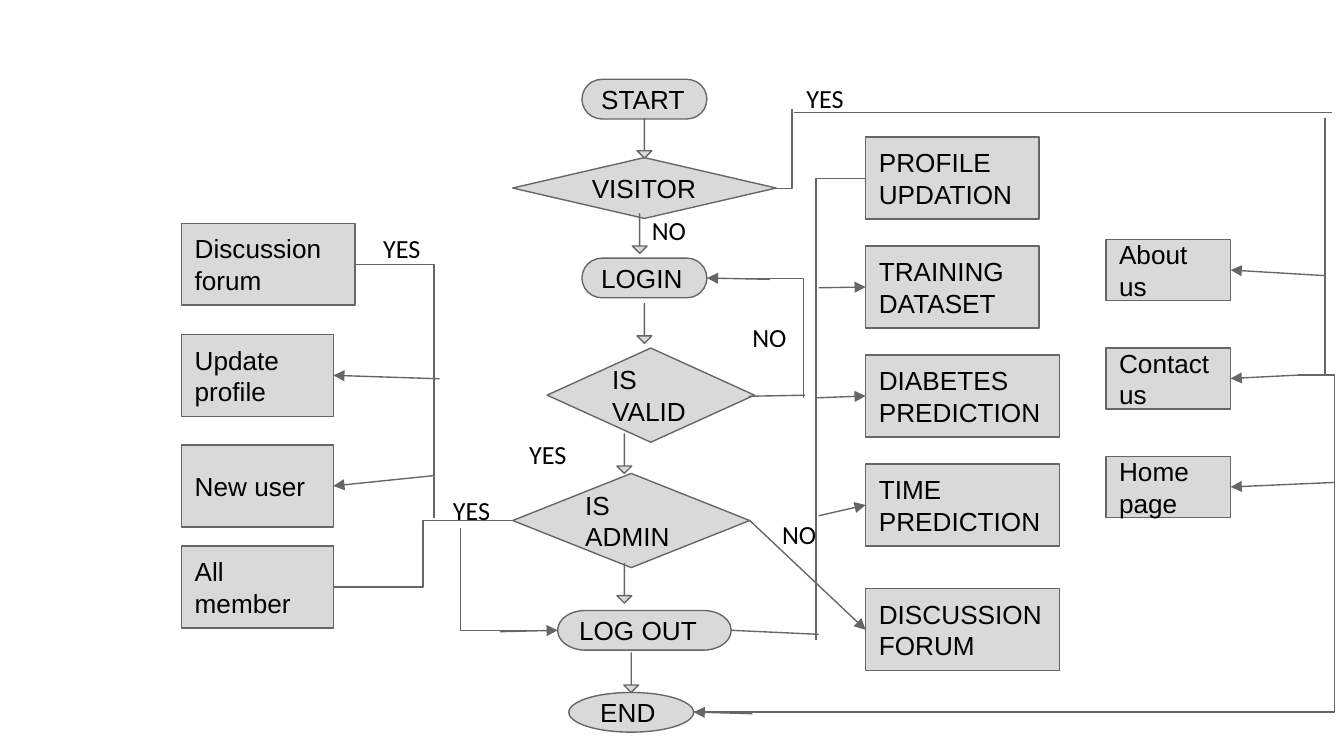
import lxml.etree
import pptx
import pptx.dml.color
import pptx.enum.shapes
import pptx.enum.text
import pptx.oxml.ns
import pptx.util

Cm = pptx.util.Cm
Pt = pptx.util.Pt
qn = pptx.oxml.ns.qn
SHAPE = pptx.enum.shapes.MSO_SHAPE
CONNECTOR = pptx.enum.shapes.MSO_CONNECTOR
ANCHOR = pptx.enum.text.MSO_ANCHOR

COLORS = {"fill": "D9D9D9", "line": "666666", "text": "000000"}
LEFT, RIGHT = 1, 3
INSET = 0.25

# Flow shapes: text, preset, left, top, width, height
FLOW = [
    ("START", SHAPE.FLOWCHART_TERMINATOR, 11, 1.5, 2.36, 0.75),
    ("VISITOR", SHAPE.DIAMOND, 9.69, 2.98, 4.98, 1.15),
    ("LOGIN", SHAPE.FLOWCHART_TERMINATOR, 11, 4.88, 2.36, 0.75),
    ("IS VALID", SHAPE.DIAMOND, 10.34, 6.58, 3.92, 1.78),
    ("IS ADMIN", SHAPE.DIAMOND, 9.69, 8.95, 4.48, 1.78),
    ("LOG OUT", SHAPE.FLOWCHART_TERMINATOR, 10.54, 11.54, 3.28, 0.75),
    ("END", SHAPE.OVAL, 10.75, 13.09, 2.36, 0.75),
]

# Columns of boxes: left, height, then text, top and width of each box
COLUMNS = [
    (16.36, 1.55, [
        ("PROFILE UPDATION", 2.59, 3.28),
        ("TRAINING DATASET", 4.65, 3.28),
        ("DIABETES PREDICTION", 6.71, 3.66),
        ("TIME PREDICTION", 8.77, 3.66),
        ("DISCUSSION FORUM", 11.13, 3.66),
    ]),
    (20.9, 1.15, [
        ("About us", 4.53, 2.36),
        ("Contact us", 6.58, 2.36),
        ("Home page", 8.63, 2.36),
    ]),
    (3.43, 1.55, [
        ("Discussion forum", 4.22, 3.28),
        ("Update profile", 6.32, 2.87),
        ("New user", 8.41, 2.87),
        ("All member", 10.32, 2.87),
    ]),
]

DOWN_ARROWS = [(12.04, 2.24), (11.95, 4.04), (12.04, 5.74),
               (11.66, 8.2), (11.66, 10.65), (11.79, 12.34)]

# Arrows from a free point to the side of a shape
ARROWS = [
    ((14.55, 5.28), "LOGIN", RIGHT),
    ((15.47, 5.44), "TRAINING DATASET", LEFT),
    ((15.42, 7.52), "DIABETES PREDICTION", LEFT),
    ((15.47, 9.75), "TIME PREDICTION", LEFT),
    ((25.04, 5.21), "About us", RIGHT),
    ((24.54, 7.09), "Contact us", RIGHT),
    ((25.22, 9.12), "Home page", RIGHT),
    ((9.45, 11.94), "LOG OUT", LEFT),
    ((8.31, 7.16), "Update profile", RIGHT),
    ((8.2, 8.99), "New user", RIGHT),
]

# One-corner lines, horizontal part first
CORNERS = [
    ((16.36, 3.37), (15.42, 12.09)),
    ((13.36, 5.26), (15.19, 7.52)),
    ((14.67, 3.56), (14.97, 2.07)),
    ((24.54, 7.09), (25.04, 2.24)),
    ((10.54, 11.92), (8.71, 9.98)),
    ((6.71, 5), (8.2, 9.8)),
]

# Two-corner lines with the place of the middle part, as a share of the width
STEPS = [
    ((15.01, 2.13), (25.17, 2.13), 0.5),
    ((13.11, 13.46), (24.54, 7.09), 1.06),
    ((9.69, 9.84), (6.3, 11.1), 0.5),
]

# Answers: text, left, top, width
ANSWERS = [
    ("YES", 6.99, 4.14, 1.8),
    ("NO", 12.07, 3.81, 1.27),
    ("NO", 14.53, 9.55, 1.5),
    ("YES", 8.31, 9.09, 1.8),
    ("YES", 14.99, 1.3, 1.8),
    ("YES", 9.75, 8.03, 1.8),
    ("NO", 13.97, 5.82, 1.27),
]


def color(name):
    return pptx.dml.color.RGBColor.from_string(COLORS[name])


def style_line(line):
    line.color.rgb = color("line")
    line.width = Pt(0.75)


def write(shape, text, font_name, anchor):
    frame = shape.text_frame
    frame.text = text
    frame.word_wrap = True
    frame.vertical_anchor = anchor
    frame.margin_left = frame.margin_right = Cm(INSET)
    frame.margin_top = frame.margin_bottom = Cm(INSET)
    paragraph = frame.paragraphs[0]
    paragraph.alignment = pptx.enum.text.PP_ALIGN.LEFT
    font = paragraph.runs[0].font
    font.name, font.size = font_name, Pt(14)
    font.color.rgb = color("text")


def add_block(slide, preset, left, top, width, height, text=""):
    shape = slide.shapes.add_shape(preset, Cm(left), Cm(top), Cm(width), Cm(height))
    shape.shadow.inherit = False
    shape.fill.solid()
    shape.fill.fore_color.rgb = color("fill")
    style_line(shape.line)
    if text:
        write(shape, text, "Arial", ANCHOR.MIDDLE)
    return shape


def add_line(slide, start=(0, 0), end=(0, 0), kind=CONNECTOR.STRAIGHT, arrow=False):
    connector = slide.shapes.add_connector(kind, *(Cm(value) for value in start + end))
    style_line(connector.line)
    properties = connector._element.spPr
    if arrow:
        lxml.etree.SubElement(properties.find(qn("a:ln")), qn("a:tailEnd"), type="triangle")
    lxml.etree.SubElement(properties, qn("a:effectLst"))
    return connector


def add_corner(slide, start, end):
    connector = add_line(slide, start, end, CONNECTOR.ELBOW)
    connector._element.spPr.find(qn("a:prstGeom")).set("prst", "bentConnector2")


def add_step(slide, start, end, middle):
    connector = add_line(slide, start, end, CONNECTOR.ELBOW)
    geometry = connector._element.spPr.find(qn("a:prstGeom"))
    lxml.etree.SubElement(geometry.find(qn("a:avLst")), qn("a:gd"),
                          name="adj1", fmla=f"val {round(middle * 100000)}")


def add_answer(slide, text, left, top, width):
    box = slide.shapes.add_textbox(Cm(left), Cm(top), Cm(width), Cm(1.12))
    write(box, text, "Calibri", ANCHOR.TOP)
    box.text_frame.auto_size = pptx.enum.text.MSO_AUTO_SIZE.SHAPE_TO_FIT_TEXT


def main():
    presentation = pptx.Presentation()
    presentation.slide_width, presentation.slide_height = Cm(25.4), Cm(14.29)
    slide = presentation.slides.add_slide(presentation.slide_layouts[6])

    # Flow shapes and boxes, kept by their text
    blocks = {}
    for text, preset, *place in FLOW:
        blocks[text] = add_block(slide, preset, *place, text)
    for left, height, boxes in COLUMNS:
        for text, top, width in boxes:
            blocks[text] = add_block(slide, SHAPE.RECTANGLE, left, top, width, height, text)

    # Thin block arrows down the flow
    for left, top in DOWN_ARROWS:
        arrow = add_block(slide, SHAPE.DOWN_ARROW, left, top, 0.28, 0.75)
        arrow.adjustments[0] = 0

    # Bent lines
    for corner in CORNERS:
        add_corner(slide, *corner)
    for step in STEPS:
        add_step(slide, *step)

    # Straight lines and arrows
    add_line(slide, (14.15, 7.49), (15.21, 7.47))
    add_line(slide, end=(15.47, 11.99)).begin_connect(blocks["LOG OUT"], RIGHT)
    add_line(slide, (14.22, 13.49), (13.11, 13.46), arrow=True)
    forum_arrow = add_line(slide, arrow=True)
    forum_arrow.begin_connect(blocks["IS ADMIN"], RIGHT)
    forum_arrow.end_connect(blocks["DISCUSSION FORUM"], LEFT)
    for start, target, side in ARROWS:
        add_line(slide, start, start, arrow=True).end_connect(blocks[target], side)

    # Answers beside the branches
    for answer in ANSWERS:
        add_answer(slide, *answer)

    presentation.save("out.pptx")


if __name__ == "__main__":
    main()
